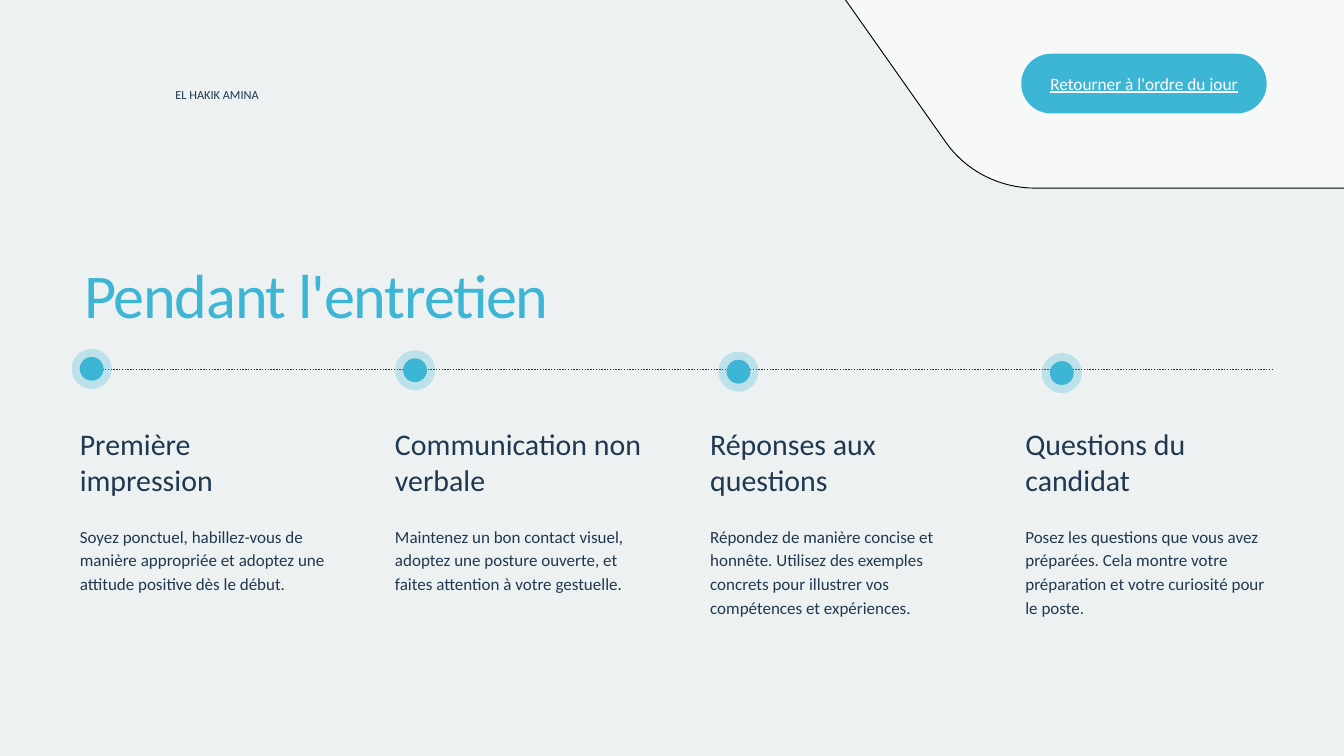
import lxml.etree
import pptx
import pptx.dml.color
import pptx.enum.dml
import pptx.enum.shapes
import pptx.enum.text
import pptx.oxml.ns
import pptx.util

Pt = pptx.util.Pt
Shape = pptx.enum.shapes.MSO_SHAPE
Anchor = pptx.enum.text.MSO_ANCHOR
Align = pptx.enum.text.PP_ALIGN

TITLE = "Pendant l'entretien"
AUTHOR = "EL HAKIK AMINA"
BUTTON = "Retourner à l'ordre du jour"
STEPS = [
    ("Première impression",
     "Soyez ponctuel, habillez-vous de manière appropriée et adoptez une "
     "attitude positive dès le début."),
    ("Communication non verbale",
     "Maintenez un bon contact visuel, adoptez une posture ouverte, et "
     "faites attention à votre gestuelle."),
    ("Réponses aux questions",
     "Répondez de manière concise et honnête. Utilisez des exemples concrets "
     "pour illustrer vos compétences et expériences."),
    ("Questions du candidat",
     "Posez les questions que vous avez préparées. Cela montre votre "
     "préparation et votre curiosité pour le poste."),
]

THEME = {
    "font": "Calibri",
    "background": "EDF1F2", "accent": "3DB6D6", "ink": "203850",
    "white": "FFFFFF", "outline": "000000",
    "title": (66.7, 80.1), "heading": (32, 38.4), "body": (18.2, 25.5),
    "button": (18.5, 22.2), "author": (13.2, 18.5),
}

PAGE_WIDTH, PAGE_HEIGHT = 1440, 810
COLUMN_LEFT, COLUMN_PITCH, COLUMN_WIDTH = 85.5, 337.7, 265
HEADING_TOP, BODY_TOP = 456, 560
LINE_Y, LINE_RIGHT = 396, 1363.5
MARKER_START, MARKER_STEP = (98.2, 395.2), (346.5, 1.5)
HALO_SIZE, DOT_SIZE = 43, 25.5

PANEL = [
    [(1639.4, 143.3)],
    [(1791.4, -118.1)],
    [(1817.3, -162.7), (1810.8, -219.6), (1775.5, -257)],
    [(1438.6, -623.5)],
    [(1416.2, -648), (1384.6, -661.7), (1351.4, -661.7)],
    [(997.9, -661.7)],
    [(933.1, -661.7), (879.8, -608.4), (879.8, -543.6)],
    [(879.8, -74.2)],
    [(879.8, -49.7), (887.8, -25.9), (901.4, -6.5)],
    [(1013, 151.9)],
    [(1034.6, 182.9), (1070.6, 201.6), (1109.5, 201.6)],
    [(1537.9, 201.6)],
    [(1579.7, 201.6), (1618.6, 179.3), (1639.4, 143.3)],
]


def rgb(name):
    return pptx.dml.color.RGBColor.from_string(THEME[name])


def write(box, text, style, color="ink", align=Align.LEFT, anchor=Anchor.TOP,
          underline=None, tracking=None):
    size, leading = THEME[style]
    frame = box.text_frame
    frame.word_wrap = True
    frame.auto_size = pptx.enum.text.MSO_AUTO_SIZE.NONE
    frame.vertical_anchor = anchor
    frame.margin_left = frame.margin_right = 0
    frame.margin_top = frame.margin_bottom = 0
    para = frame.paragraphs[0]
    para.alignment = align
    para.line_spacing = Pt(leading)
    span = para.add_run()
    span.text = text
    span.font.name = THEME["font"]
    span.font.size = Pt(size)
    span.font.color.rgb = rgb(color)
    span.font.underline = underline
    if tracking is not None:
        span.font._element.set("spc", str(round(tracking * 100)))


def add_text(page, left, top, width, height, text, style, **options):
    box = page.shapes.add_textbox(Pt(left), Pt(top), Pt(width), Pt(height))
    write(box, text, style, **options)


def paint(shape, color, opacity=None, outline=None):
    shape.shadow.inherit = False
    shape.fill.solid()
    shape.fill.fore_color.rgb = rgb(color)
    if opacity is not None:
        fill_color = shape._element.spPr.find(
            "/".join(pptx.oxml.ns.qn(tag) for tag in ("a:solidFill", "a:srgbClr")))
        alpha = lxml.etree.SubElement(fill_color, pptx.oxml.ns.qn("a:alpha"))
        alpha.set("val", str(opacity * 1000))
    if outline:
        shape.line.color.rgb = rgb(outline)
        shape.line.width = Pt(1)
    else:
        shape.line.fill.background()


def add_disc(page, center, size, opacity=None):
    left, top = (Pt(middle - size / 2) for middle in center)
    disc = page.shapes.add_shape(Shape.OVAL, left, top, Pt(size), Pt(size))
    paint(disc, "accent", opacity)


def curve_points(start, first, second, end, steps=16):
    for step in range(1, steps + 1):
        t = step / steps
        weights = ((1 - t) ** 3, 3 * t * (1 - t) ** 2, 3 * t * t * (1 - t), t ** 3)
        yield tuple(sum(w * value for w, value in zip(weights, axis))
                    for axis in zip(start, first, second, end))


def add_panel(page):
    points = []
    for segment in PANEL:
        points += curve_points(points[-1], *segment) if len(segment) == 3 else segment
    corners = [(Pt(x), Pt(y)) for x, y in points]
    builder = page.shapes.build_freeform(*corners[0])
    builder.add_line_segments(corners[1:], close=True)
    paint(builder.convert_to_shape(), "white", opacity=60, outline="outline")


def add_timeline(page):
    line = page.shapes.add_connector(
        pptx.enum.shapes.MSO_CONNECTOR.STRAIGHT,
        Pt(COLUMN_LEFT), Pt(LINE_Y), Pt(LINE_RIGHT), Pt(LINE_Y))
    line.line.color.rgb = rgb("ink")
    line.line.width = Pt(1.5)
    line.line.dash_style = pptx.enum.dml.MSO_LINE.ROUND_DOT
    lxml.etree.SubElement(line._element.spPr, pptx.oxml.ns.qn("a:effectLst"))
    for index in range(len(STEPS)):
        center = [start + index * step
                  for start, step in zip(MARKER_START, MARKER_STEP)]
        add_disc(page, center, HALO_SIZE, opacity=27)
        add_disc(page, center, DOT_SIZE)


def main():
    deck = pptx.Presentation()
    deck.slide_width, deck.slide_height = Pt(PAGE_WIDTH), Pt(PAGE_HEIGHT)
    page = deck.slides.add_slide(deck.slide_layouts[5])
    page.background.fill.solid()
    page.background.fill.fore_color.rgb = rgb("background")

    add_timeline(page)
    add_panel(page)

    title = page.shapes.title
    title.left, title.top = Pt(90), Pt(274.3)
    title.width, title.height = Pt(834.5), Pt(79.2)
    write(title, TITLE, "title", color="accent", tracking=-1.3)

    for index, (heading, body) in enumerate(STEPS):
        left = COLUMN_LEFT + index * COLUMN_PITCH
        add_text(page, left, HEADING_TOP, COLUMN_WIDTH, 75.6, heading, "heading")
        add_text(page, left, BODY_TOP, COLUMN_WIDTH, 102, body, "body")

    button = page.shapes.add_shape(
        Shape.ROUNDED_RECTANGLE, Pt(1094.2), Pt(57.6), Pt(263), Pt(64))
    button.adjustments[0] = 0.5
    paint(button, "accent")
    write(button, BUTTON, "button", color="white", align=Align.CENTER,
          anchor=Anchor.MIDDLE, underline=True)

    add_text(page, 188, 90.7, 237.6, 16.6, AUTHOR, "author")
    deck.save("out.pptx")


if __name__ == "__main__":
    main()
